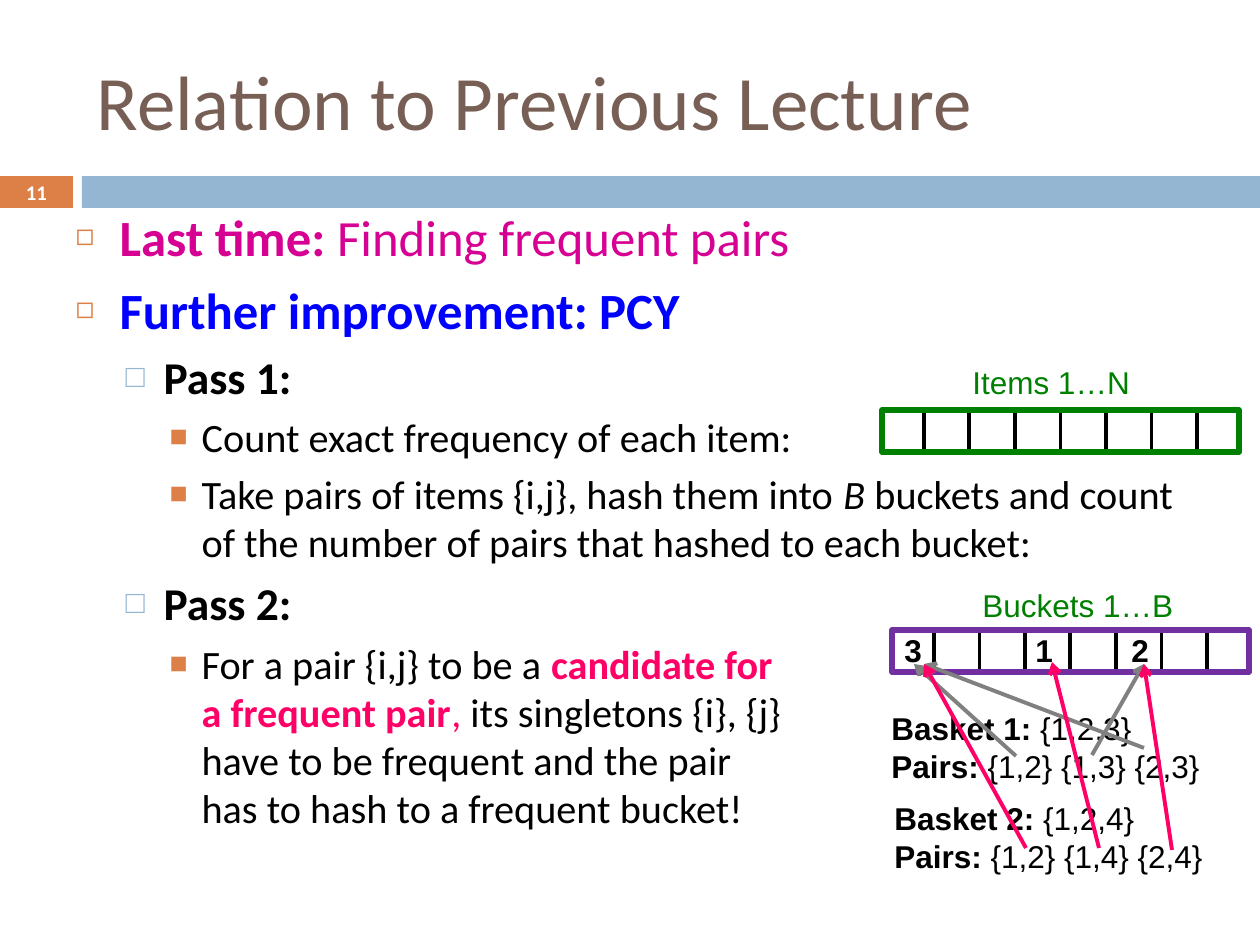
from dataclasses import dataclass

from pptx import Presentation
from pptx.dml.color import RGBColor
from pptx.enum.shapes import MSO_CONNECTOR as Connector, MSO_SHAPE as Shape
from pptx.enum.text import MSO_ANCHOR as Anchor, MSO_AUTO_SIZE as AutoSize, PP_ALIGN as Align
from pptx.oxml.ns import qn
from pptx.util import Emu, Pt
from lxml.etree import SubElement

PX = 914400 / 126
ORANGE, BLUE, GREEN, PURPLE = "DD8047", "94B6D2", "008000", "7030A0"
BLACK, GRAY, PINK, MAGENTA = "000000", "808080", "FF0066", "D60093"


@dataclass
class Span:
    text: str
    bold: bool = False
    color: str = BLACK
    italic: bool = False


@dataclass
class Level:
    bullet: str
    bullet_color: str
    bullet_percent: int
    margin: int
    hanging: int
    size: int
    before: float


@dataclass
class Arrow:
    start: tuple[int, int]
    end: tuple[int, int]
    color: str


LEVELS = [
    Level("◻", ORANGE, 60, 44, 44, 29, 7),
    Level("□", BLUE, 70, 88, 38, 26, 5.5),
    Level("■", ORANGE, 75, 126, 32, 23, 5),
]
BODY = [
    (0, [Span("Last time:", True, MAGENTA), Span(" Finding frequent pairs", color=MAGENTA)]),
    (0, [Span("Further improvement: PCY", True, "0000FF")]),
    (1, [Span("Pass 1:", True)]),
    (2, [Span("Count exact frequency of each item:")]),
    (2, [Span("Take pairs of items {i,j}, hash them into "), Span("B", italic=True),
         Span(" buckets and count of the number of pairs that hashed to each bucket:")]),
    (1, [Span("Pass 2:", True)]),
    (2, [Span("For a pair {i,j} to be a "), Span("candidate for \na frequent pair", True, PINK),
         Span(", ", color=PINK),
         Span("its singletons {i}, {j} \nhave to be frequent and the pair \n"
              "has to hash to a frequent bucket!")]),
]
GRAY_ARROWS = [
    Arrow((1016, 756), (914, 664), GRAY),
    Arrow((1144, 748), (924, 664), GRAY),
    Arrow((1092, 755), (1144, 664), GRAY),
]
PINK_ARROWS = [
    Arrow((1026, 848), (924, 664), PINK),
    Arrow((1172, 850), (1144, 664), PINK),
    Arrow((1099, 848), (1052, 662), PINK),
]


def px(value: float) -> Emu:
    return Emu(round(value * PX))


def rgb(color: str) -> RGBColor:
    return RGBColor.from_string(color)


def place(shape, left: int, top: int, width: int, height: int) -> None:
    shape.left, shape.top, shape.width, shape.height = map(px, (left, top, width, height))


def add_spans(paragraph, spans: list[Span], size: float, font: str) -> None:
    for span in spans:
        for index, line in enumerate(span.text.split("\n")):
            if index:
                paragraph.add_line_break()
            run = paragraph.add_run()
            run.text = line
            run.font.name, run.font.size = font, Pt(size)
            run.font.bold, run.font.italic = span.bold, span.italic
            run.font.color.rgb = rgb(span.color)


def set_bullet(paragraph, level: Level) -> None:
    properties = paragraph._p.get_or_add_pPr()
    properties.set("marL", str(px(level.margin)))
    properties.set("indent", str(-px(level.hanging)))
    color = SubElement(properties, qn("a:buClr"))
    SubElement(color, qn("a:srgbClr"), val=level.bullet_color)
    SubElement(properties, qn("a:buSzPct"), val=str(level.bullet_percent * 1000))
    SubElement(properties, qn("a:buChar"), char=level.bullet)


def add_bar(shapes, left: int, top: int, width: int, height: int, fill: str) -> None:
    bar = shapes.add_shape(Shape.RECTANGLE, *map(px, (left, top, width, height)))
    bar.shadow.inherit = False
    bar.fill.solid()
    bar.fill.fore_color.rgb = rgb(fill)
    bar.line.fill.background()


def add_line(shapes, start: tuple, end: tuple, color: str):
    line = shapes.add_connector(Connector.STRAIGHT, *map(px, (*start, *end)))
    line.line.color.rgb = rgb(color)
    line.line.width = Pt(2.25)
    SubElement(line._element.spPr, qn("a:effectLst"))
    return line


def add_arrow(shapes, arrow: Arrow) -> None:
    line = add_line(shapes, arrow.start, arrow.end, arrow.color)
    SubElement(line.line._get_or_add_ln(), qn("a:tailEnd"), type="arrow")


def add_array(shapes, left: int, top: int, color: str) -> None:
    """Draw a row of eight cells: seven dividers inside one frame."""
    width, height, first = 357, 42, 42
    pitch = (width - 2 * first) / 6
    group = shapes.add_group_shape().shapes
    dividers = []
    for index in range(7):
        x = left + first + index * pitch
        dividers.append(add_line(group, (x, top), (x, top + height), BLACK))
    frame = group.add_shape(Shape.RECTANGLE, *map(px, (left, top, width, height)))
    frame.shadow.inherit = False
    frame.fill.background()
    frame.line.color.rgb = rgb(color)
    frame.line.width = Pt(3)
    dividers[3].begin_connect(frame, 0)
    dividers[3].end_connect(frame, 2)


def add_label(shapes, left: int, top: int, width: int, height: int, lines: list[list[Span]]):
    box = shapes.add_textbox(*map(px, (left, top, width, height)))
    frame = box.text_frame
    frame.word_wrap = False
    frame.auto_size = AutoSize.SHAPE_TO_FIT_TEXT
    for index, spans in enumerate(lines):
        paragraph = frame.add_paragraph() if index else frame.paragraphs[0]
        add_spans(paragraph, spans, 18, "Arial")
    return box


def main() -> None:
    presentation = Presentation()
    presentation.slide_width, presentation.slide_height = px(1260), px(945)
    slide = presentation.slides.add_slide(presentation.slide_layouts[1])
    shapes = slide.shapes

    # Header band and slide number
    add_bar(shapes, 0, 176, 73, 32, ORANGE)
    add_bar(shapes, 82, 176, 1178, 32, BLUE)
    number = shapes.add_textbox(*map(px, (0, 175, 73, 34))).text_frame
    number.word_wrap = True
    number.vertical_anchor = Anchor.MIDDLE
    number.paragraphs[0].alignment = Align.CENTER
    add_spans(number.paragraphs[0], [Span("11", True, "FFFFFF")], 11.9, "Calibri")

    # Title
    place(shapes.title, 84, 32, 1124, 136)
    title = shapes.title.text_frame
    title.vertical_anchor = Anchor.MIDDLE
    title.auto_size = AutoSize.NONE
    title.paragraphs[0].alignment = Align.LEFT
    add_spans(title.paragraphs[0], [Span("Relation to Previous Lecture", color="775F55")], 44, "Calibri")

    # Bulleted body
    place(slide.placeholders[1], 63, 199, 1134, 746)
    body = slide.placeholders[1].text_frame
    body.auto_size = AutoSize.NONE
    for index, (depth, spans) in enumerate(BODY):
        paragraph = body.add_paragraph() if index else body.paragraphs[0]
        level = LEVELS[depth]
        paragraph.level = depth
        set_bullet(paragraph, level)
        paragraph.space_before = Pt(level.before if index else 0)
        add_spans(paragraph, spans, level.size, "Calibri")

    # Item and bucket arrays with their labels
    add_array(shapes, 882, 410, GREEN)
    add_array(shapes, 892, 630, PURPLE)
    add_label(shapes, 960, 357, 184, 50, [[Span("Items 1…N", color=GREEN)]])
    add_label(shapes, 970, 580, 218, 50, [[Span("Buckets 1…B", color=GREEN)]])

    # Baskets and their pairs
    for left, top, name, items, pairs in [
        (879, 703, "Basket 1:", " {1,2,3}", " {1,2} {1,3} {2,3}"),
        (882, 793, "Basket 2:", " {1,2,4}", " {1,2} {1,4} {2,4}"),
    ]:
        add_label(shapes, left, top, 336, 89,
                  [[Span(name, True), Span(items)], [Span("Pairs:", True), Span(pairs)]])

    # Hashing of pairs into buckets
    for arrow in GRAY_ARROWS:
        add_arrow(shapes, arrow)
    hashing = shapes.add_group_shape().shapes
    counts = add_label(hashing, 892, 625, 273, 50, [[Span("3\t1\t2", True)]])
    tabs = SubElement(counts.text_frame.paragraphs[0]._p.get_or_add_pPr(), qn("a:tabLst"))
    for position in (131, 227):
        SubElement(tabs, qn("a:tab"), pos=str(px(position)), algn="l")
    for arrow in PINK_ARROWS:
        add_arrow(hashing, arrow)

    presentation.save("out.pptx")


if __name__ == "__main__":
    main()
